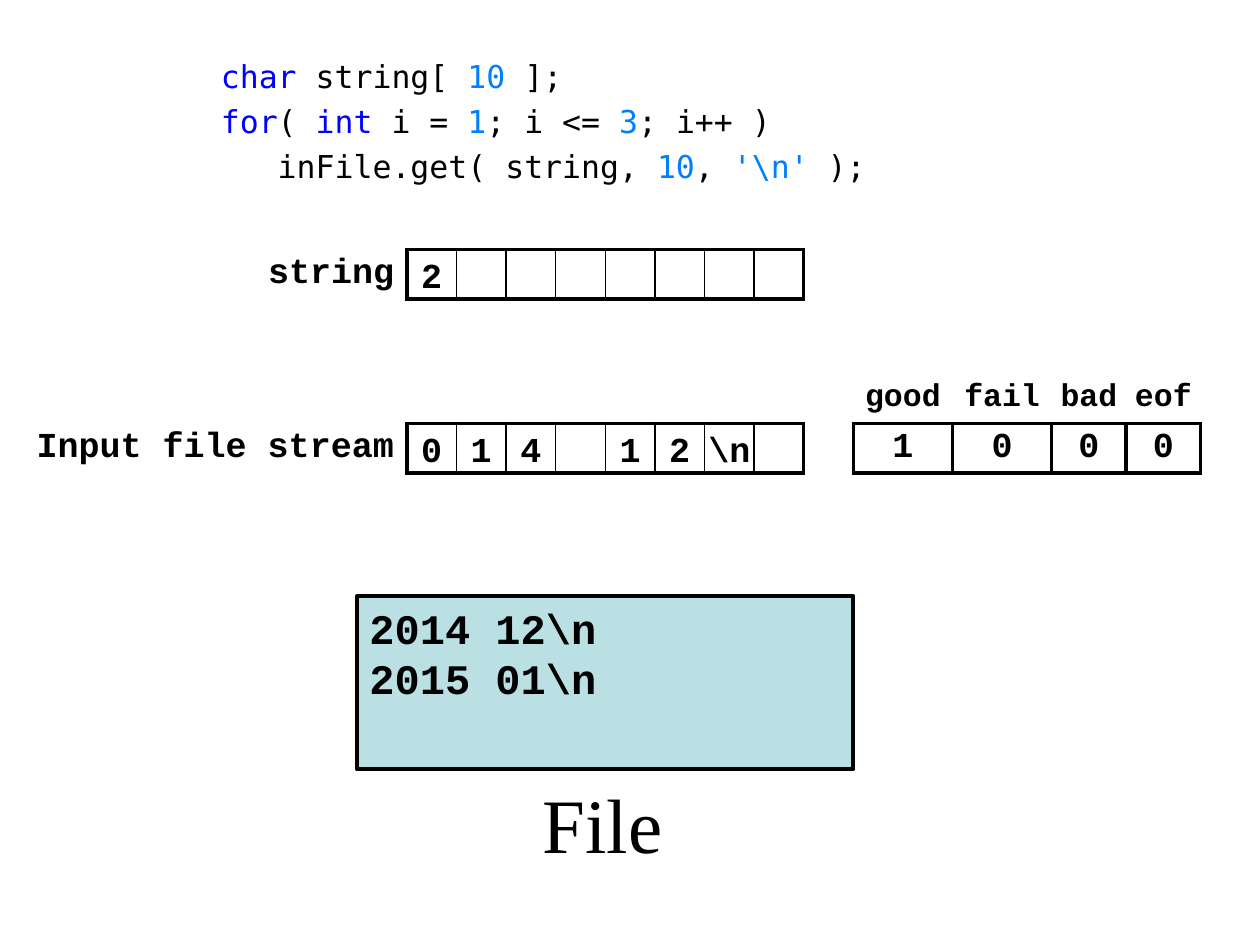
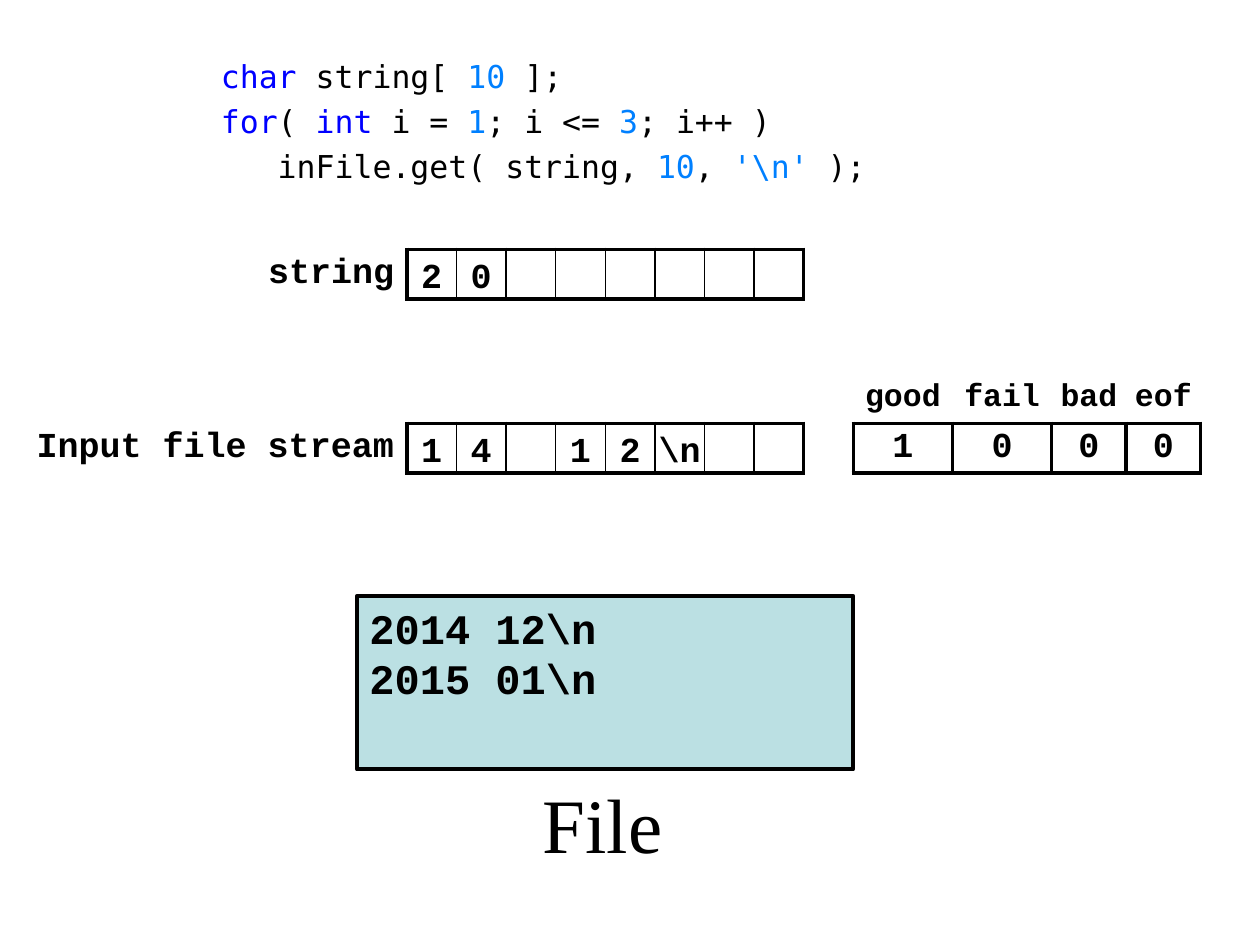
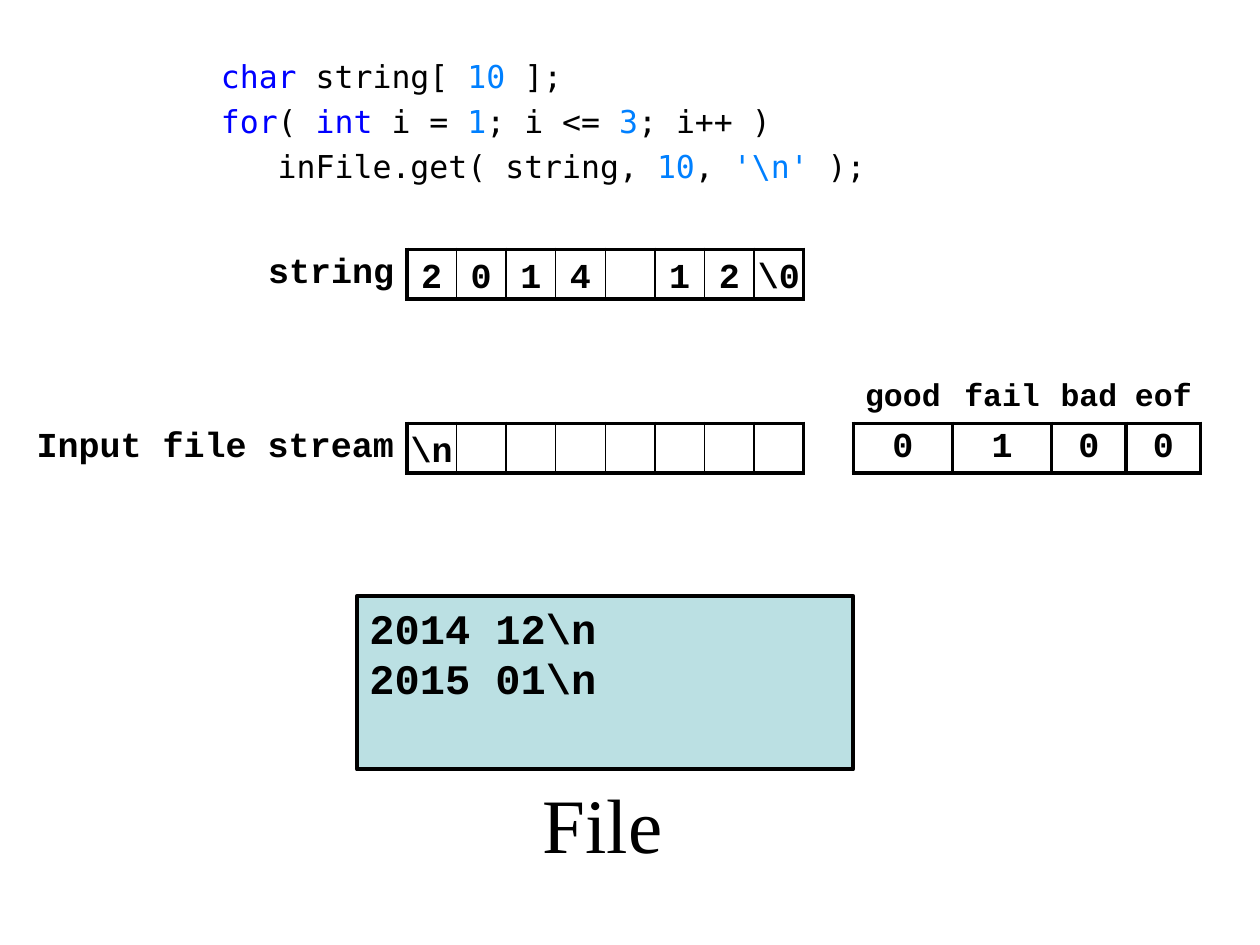
import lxml.etree
import pptx
import pptx.dml.color
import pptx.enum.shapes
import pptx.enum.text
import pptx.oxml.ns
import pptx.util

Pt = pptx.util.Pt
RGBColor = pptx.dml.color.RGBColor
ALIGN = pptx.enum.text.PP_ALIGN
ANCHOR = pptx.enum.text.MSO_ANCHOR
qn = pptx.oxml.ns.qn

BLACK = RGBColor(0x00, 0x00, 0x00)
KEYWORD = RGBColor(0x00, 0x00, 0xFF)
LITERAL = RGBColor(0x00, 0x80, 0xFF)
FILE_FILL = RGBColor(0xBB, 0xE0, 0xE3)

CODE_FONT = "DejaVu Sans Mono"
CELL_FONT = "Courier New"
CAPTION_FONT = "Times New Roman"

# Grid of square character cells, in points
CELL = 28.35
CELLS = 8
CELLS_LEFT = 232.5
STRING_TOP = 142.5
FLAGS_TOP = 213.5
STREAM_TOP = FLAGS_TOP + CELL
THICK, THIN = 2.25, 1
BUFFER_EDGES = [0, THICK] + [THIN] * (CELLS - 1) + [THICK]

FLAGS = ["good", "fail", "bad", "eof"]
FLAG_WIDTHS = [2, 2, 1.5, 1.5]

CODE = [
    [("char", KEYWORD), (" string[ ", BLACK), ("10", LITERAL), (" ];", BLACK)],
    [("for", KEYWORD), ("( ", BLACK), ("int", KEYWORD), (" i = ", BLACK),
     ("1", LITERAL), ("; i <= ", BLACK), ("3", LITERAL), ("; i++ )", BLACK)],
    [("   inFile.get( string, ", BLACK), ("10", LITERAL), (", ", BLACK),
     ("'\\n'", LITERAL), (" );", BLACK)],
]

# Each step: characters in string, characters left in the stream, flag values
STEPS = [
    (list("2"), list("014 12") + ["\\n"], "1000"),
    (list("20"), list("14 12") + ["\\n"], "1000"),
    (list("2014 12") + ["\\0"], ["\\n"], "0100"),
]


def format_run(run, font, size, color=BLACK, bold=False):
    run.font.name = font
    run.font.size = Pt(size)
    run.font.color.rgb = color
    run.font.bold = bold


def set_margins(target, left=0, top=0, right=0, bottom=0):
    target.margin_left, target.margin_top = Pt(left), Pt(top)
    target.margin_right, target.margin_bottom = Pt(right), Pt(bottom)


def add_code(slide):
    """Program text in the body placeholder, coloured by syntax."""
    title = slide.shapes.title
    title.element.getparent().remove(title.element)
    code = slide.placeholders[1]
    code.left, code.top, code.width, code.height = Pt(119), Pt(29), Pt(384), Pt(85)
    frame = code.text_frame
    frame.auto_size = pptx.enum.text.MSO_AUTO_SIZE.NONE
    set_margins(frame, 7.2, 3.6, 5.76, 3.6)
    for number, line in enumerate(CODE):
        paragraph = frame.add_paragraph() if number else frame.paragraphs[0]
        paragraph.space_before = Pt(4.2)
        properties = paragraph._p.get_or_add_pPr()
        properties.set("marL", "0")
        properties.set("indent", "0")
        lxml.etree.SubElement(properties, qn("a:buNone"))
        for text, color in line:
            run = paragraph.add_run()
            run.text = text
            format_run(run, CODE_FONT, 18, color)


def set_borders(cell, left, right, top, bottom):
    """Border widths in points; zero means no line."""
    properties = cell._tc.get_or_add_tcPr()
    for side, width in zip("LRTB", (left, right, top, bottom)):
        border = lxml.etree.SubElement(properties, qn(f"a:ln{side}"))
        border.set("w", str(int(Pt(width))))
        if width:
            fill = lxml.etree.SubElement(border, qn("a:solidFill"))
            lxml.etree.SubElement(fill, qn("a:srgbClr")).set("val", str(BLACK))
        else:
            lxml.etree.SubElement(border, qn("a:noFill"))


def add_grid(slide, top, widths, rows, edges, open_columns):
    """Table whose last row is boxed, except in the open columns."""
    left = CELLS_LEFT - widths[0] * CELL
    table = slide.shapes.add_table(
        len(rows), len(widths), Pt(left), Pt(top),
        Pt(sum(widths) * CELL), Pt(len(rows) * CELL)).table
    table.first_row = table.horz_banding = False
    for column, width in zip(table.columns, widths):
        column.width = Pt(width * CELL)
    last = len(rows) - 1
    for r, texts in enumerate(rows):
        table.rows[r].height = Pt(CELL)
        for c, text in enumerate(texts):
            cell = table.cell(r, c)
            outline = 0 if c in open_columns else THICK
            if r == last:
                set_borders(cell, edges[c], edges[c + 1], outline, outline)
            else:
                set_borders(cell, 0, 0, 0, outline)
            cell.fill.background()
            cell.vertical_anchor = ANCHOR.MIDDLE
            set_margins(cell, right=0 if c else 7.2)
            cell.text = text
            paragraph = cell.text_frame.paragraphs[0]
            paragraph.alignment = ALIGN.CENTER if c else ALIGN.RIGHT
            for run in paragraph.runs:
                format_run(run, CELL_FONT, 20 if r == last else 18, bold=True)


def add_stream_grid(slide, flag_values):
    blanks = [""] * (CELLS + 1)
    rows = [[""] + blanks + FLAGS,
            ["Input file stream"] + blanks + list(flag_values)]
    widths = [7.5] + [1] * (CELLS + 1) + FLAG_WIDTHS
    edges = BUFFER_EDGES + [THICK] * (len(FLAGS) + 1)
    add_grid(slide, FLAGS_TOP, widths, rows, edges, (0, CELLS + 1))


def add_string_grid(slide):
    add_grid(slide, STRING_TOP, [3] + [1] * CELLS,
             [["string"] + [""] * CELLS], BUFFER_EDGES, (0,))


def add_characters(slide, characters, top):
    """One text box over each occupied cell."""
    for position, character in enumerate(characters):
        if character == " ":
            continue
        box = slide.shapes.add_textbox(
            Pt(CELLS_LEFT + position * CELL), Pt(top), Pt(CELL), Pt(CELL))
        frame = box.text_frame
        frame.word_wrap = True
        frame.vertical_anchor = ANCHOR.MIDDLE
        set_margins(frame, top=3.6, bottom=3.6)
        frame.text = character
        frame.paragraphs[0].alignment = ALIGN.CENTER
        format_run(frame.paragraphs[0].runs[0], CELL_FONT, 20, bold=True)


def add_file(slide):
    """File contents with the caption below."""
    contents = slide.shapes.add_shape(
        pptx.enum.shapes.MSO_SHAPE.RECTANGLE, Pt(204), Pt(340.5), Pt(283.5), Pt(99.2))
    contents.shadow.inherit = False
    contents.fill.solid()
    contents.fill.fore_color.rgb = FILE_FILL
    contents.line.color.rgb = BLACK
    contents.line.width = Pt(THICK)
    frame = contents.text_frame
    frame.vertical_anchor = ANCHOR.TOP
    frame.text = "2014 12\\n\n2015 01\\n"
    for paragraph in frame.paragraphs:
        paragraph.alignment = ALIGN.LEFT
        format_run(paragraph.runs[0], CELL_FONT, 24, bold=True)

    caption = slide.shapes.add_textbox(Pt(303), Pt(440), Pt(85), Pt(70.5))
    caption.text_frame.word_wrap = False
    caption.text_frame.text = "File"
    format_run(caption.text_frame.paragraphs[0].runs[0], CAPTION_FONT, 44)


def main():
    presentation = pptx.Presentation()
    presentation.slide_width, presentation.slide_height = Pt(720), Pt(540)
    for string, stream, flag_values in STEPS:
        slide = presentation.slides.add_slide(presentation.slide_layouts[1])
        add_code(slide)
        add_stream_grid(slide, flag_values)
        add_string_grid(slide)
        add_file(slide)
        add_characters(slide, string, STRING_TOP)
        add_characters(slide, stream, STREAM_TOP)
    presentation.save("out.pptx")


main()
